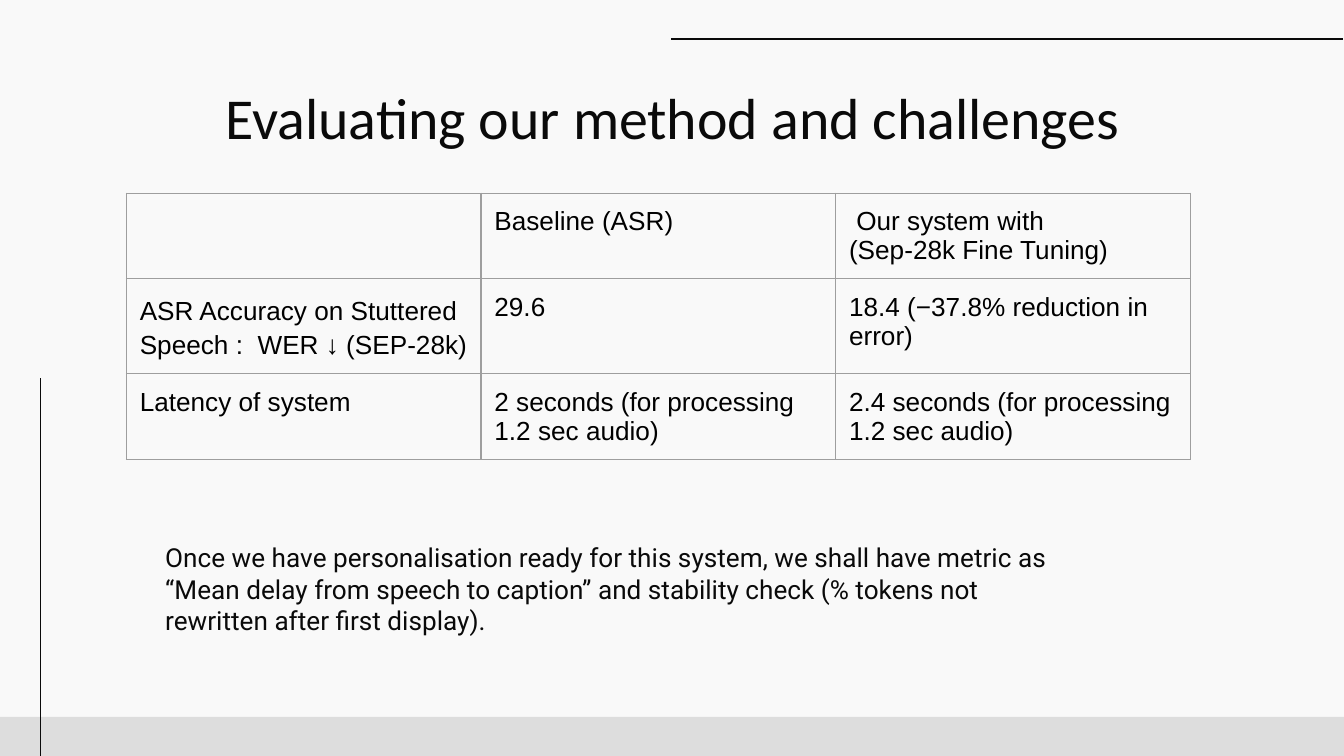
"""Build a slide with a results table, a title and a closing note."""
from lxml import etree
from pptx import Presentation
from pptx.dml.color import RGBColor
from pptx.enum import shapes as sh, text as tx
from pptx.oxml import ns
from pptx.util import Pt

INK, PAPER, BAND, EDGE, BLACK = "0A0A0A", "F9F9F9", "DDDDDD", "9E9E9E", "000000"
WIDE, HIGH = 720, 405
TITLE = "Evaluating our method and challenges"
NOTE = ("Once we have personalisation ready for this system, we shall have metric as "
        "“Mean delay from speech to caption” and stability check "
        "(% tokens not rewritten after first display).")
ROWS = [
    ([], ["Baseline (ASR)"], [" Our system with", "(Sep-28k Fine Tuning)"]),
    (["ASR Accuracy on Stuttered Speech :  WER ↓ (SEP-28k)"], ["29.6"],
     ["18.4 (−37.8% reduction in error)"]),
    (["Latency of system"], ["2 seconds (for processing 1.2 sec audio)"],
     ["2.4 seconds (for processing 1.2 sec audio)"]),
]
TALL = [45.7, 50.9, 45.7]
COL = 190
LINES = [(21.6, HIGH, 21.6, 202.5), (359.5, 21, 719.5, 21)]
PAD = 7.2


def color(code):
    return RGBColor.from_string(code)


def write(frame, lines, size, face, code, align=tx.PP_ALIGN.LEFT):
    for i, line in enumerate(lines):
        para = frame.paragraphs[0] if i == 0 else frame.add_paragraph()
        para.alignment = align
        run = para.add_run()
        run.text = line
        font = run.font
        font.size, font.name, font.bold = Pt(size), face, False
        font.color.rgb = color(code)


def pad(item):
    item.margin_left = item.margin_right = Pt(PAD)
    item.margin_top = item.margin_bottom = Pt(PAD)


def setup(frame):
    pad(frame)
    frame.word_wrap = True
    frame.auto_size = tx.MSO_AUTO_SIZE.NONE
    frame.vertical_anchor = tx.MSO_ANCHOR.TOP


def border(cell):
    props = cell._tc.get_or_add_tcPr()
    for side in ("a:lnL", "a:lnR", "a:lnT", "a:lnB"):
        line = etree.SubElement(props, ns.qn(side), w=str(Pt(0.75)))
        fill = etree.SubElement(line, ns.qn("a:solidFill"))
        etree.SubElement(fill, ns.qn("a:srgbClr"), val=EDGE)


def place(item, left, top, width, height):
    item.left, item.top = Pt(left), Pt(top)
    item.width, item.height = Pt(width), Pt(height)


deck = Presentation()
deck.slide_width, deck.slide_height = Pt(WIDE), Pt(HIGH)
slide = deck.slides.add_slide(deck.slide_layouts[5])
back = slide.background.fill
back.solid()
back.fore_color.rgb = color(PAPER)

title = slide.shapes.title
place(title, 56.2, 36.7, 607.7, 43.2)
setup(title.text_frame)
write(title.text_frame, [TITLE], 31, "Calibri", INK, tx.PP_ALIGN.CENTER)

band = slide.shapes.add_shape(sh.MSO_SHAPE.RECTANGLE, 0, Pt(384), Pt(WIDE), Pt(21))
band.shadow.inherit = False
band.fill.solid()
band.fill.fore_color.rgb = color(BAND)
band.line.fill.background()

for ends in LINES:
    line = slide.shapes.add_connector(sh.MSO_CONNECTOR.STRAIGHT, *map(Pt, ends))
    line.line.color.rgb = color(INK)
    line.line.width = Pt(0.75)
    etree.SubElement(line._element.spPr, ns.qn("a:effectLst"))

grid = slide.shapes.add_table(len(ROWS), len(ROWS[0]), Pt(67.7), Pt(103.5),
                              Pt(COL * len(ROWS[0])), Pt(sum(TALL))).table
grid.first_row = grid.horz_banding = False
for col in grid.columns:
    col.width = Pt(COL)
for r, row in enumerate(ROWS):
    grid.rows[r].height = Pt(TALL[r])
    for c, lines in enumerate(row):
        cell = grid.cell(r, c)
        pad(cell)
        border(cell)
        cell.fill.background()
        write(cell.text_frame, lines, 14, "Arial", BLACK)
metric = grid.cell(1, 0).text_frame.paragraphs[0]
metric.line_spacing, metric.space_after = 1.15, Pt(16)

note = slide.shapes.add_textbox(Pt(81.4), Pt(283), Pt(502.6), Pt(77.8))
setup(note.text_frame)
write(note.text_frame, [NOTE], 14, "Roboto", INK)

deck.save("out.pptx")
